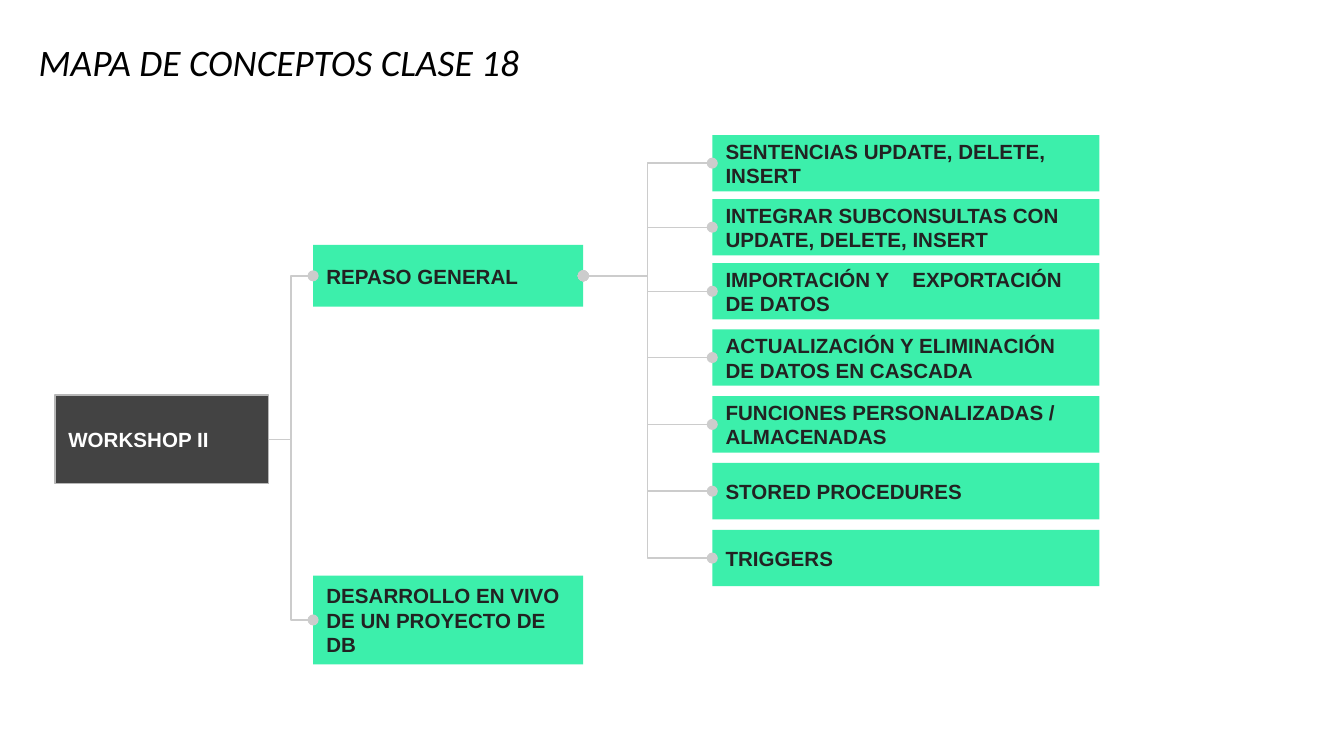
from typing import NamedTuple

from lxml.etree import SubElement
from pptx import Presentation
from pptx.dml.color import RGBColor
from pptx.enum.shapes import MSO_CONNECTOR, MSO_SHAPE
from pptx.enum.text import MSO_ANCHOR, PP_ALIGN
from pptx.oxml.ns import qn
from pptx.util import Inches, Pt

COLORS = {
    "title": "000000",
    "root": "434343",
    "root_edge": "B7B7B7",
    "root_text": "FFFFFF",
    "concept": "3CEFAB",
    "concept_text": "222222",
    "link": "CCCCCC",
}
WIDTH = Inches(10)
HEIGHT = WIDTH * 9 // 16
COLUMN = WIDTH / 100
ROW = HEIGHT / 100
LEFT_SITE, RIGHT_SITE = 1, 3
TOPIC_HEIGHT = 7.47
TAB_STOP = Inches(1.39)

BRANCHES = [
    ("REPASO GENERAL", 0, 8.18),
    ("DESARROLLO EN VIVO DE UN PROYECTO DE DB", 43.75, 11.73),
]
TOPIC_GROUPS = [
    (0, 8.47, [
        "SENTENCIAS UPDATE, DELETE, INSERT",
        "INTEGRAR SUBCONSULTAS CON UPDATE, DELETE, INSERT",
        "IMPORTACIÓN Y\tEXPORTACIÓN DE DATOS",
    ]),
    (25.7, 8.84, [
        "ACTUALIZACIÓN Y ELIMINACIÓN DE DATOS EN CASCADA",
        "FUNCIONES PERSONALIZADAS / ALMACENADAS",
        "STORED PROCEDURES",
        "TRIGGERS",
    ]),
]


class Box(NamedTuple):
    column: float
    row: float
    columns: float
    rows: float

    def lengths(self):
        return (round(self.column * COLUMN), round(self.row * ROW),
                round(self.columns * COLUMN), round(self.rows * ROW))

    def band(self, offset, rows):
        return Box(self.column, self.row + offset, self.columns, rows)


def color(name):
    return RGBColor.from_string(COLORS[name])


def set_font(paragraph, family, size, color_name, bold=False, italic=False):
    for run in paragraph.runs:
        font = run.font
        font.name, font.size = family, Pt(size)
        font.bold, font.italic = bold, italic
        font.color.rgb = color(color_name)


def add_tab_stop(paragraph):
    stops = SubElement(paragraph._p.get_or_add_pPr(), qn("a:tabLst"))
    SubElement(stops, qn("a:tab"), pos=str(TAB_STOP), algn="l")


def add_node(slide, box, label, fill="concept", text="concept_text", edge=None):
    node = slide.shapes.add_shape(MSO_SHAPE.RECTANGLE, *box.lengths())
    node.shadow.inherit = False
    node.fill.solid()
    node.fill.fore_color.rgb = color(fill)
    if edge:
        node.line.color.rgb = color(edge)
        node.line.width = Pt(0.75)
    else:
        node.line.fill.background()
    frame = node.text_frame
    frame.word_wrap = True
    frame.vertical_anchor = MSO_ANCHOR.MIDDLE
    frame.margin_left = frame.margin_right = Inches(0.1)
    frame.margin_top = frame.margin_bottom = Inches(0.1)
    frame.text = label
    paragraph = frame.paragraphs[0]
    paragraph.alignment = PP_ALIGN.LEFT
    if "\t" in label:
        add_tab_stop(paragraph)
    set_font(paragraph, "Arial", 11, text, bold=True)
    return node


def add_link(slide, parent, child, ends):
    link = slide.shapes.add_connector(
        MSO_CONNECTOR.ELBOW,
        parent.left + parent.width, parent.top + parent.height // 2,
        child.left, child.top + child.height // 2)
    link.begin_connect(parent, RIGHT_SITE)
    link.end_connect(child, LEFT_SITE)
    link.line.color.rgb = color("link")
    link.line.width = Pt(0.75)
    line = link.line._get_or_add_ln()
    for end in ends:
        SubElement(line, qn(f"a:{end}"), type="oval")
    SubElement(link._element.spPr, qn("a:effectLst"))


def add_title(slide, box):
    title = slide.shapes.add_textbox(*box.lengths())
    frame = title.text_frame
    frame.word_wrap = True
    frame.vertical_anchor = MSO_ANCHOR.BOTTOM
    frame.text = "MAPA DE CONCEPTOS CLASE 18"
    heading = frame.paragraphs[0]
    heading.line_spacing = 0.9
    set_font(heading, "Calibri", 20, "title", italic=True)


def add_root(slide, box):
    return add_node(slide, box, "WORKSHOP II", "root", "root_text", "root_edge")


def add_branches(slide, box, root):
    branches = [add_node(slide, box.band(offset, rows), label)
                for label, offset, rows in BRANCHES]
    for branch in branches:
        add_link(slide, root, branch, ["tailEnd"])
    return branches


def add_topics(slide, box, branch):
    for start, pitch, labels in TOPIC_GROUPS:
        for index, label in enumerate(labels):
            topic = add_node(
                slide, box.band(start + index * pitch, TOPIC_HEIGHT), label)
            add_link(slide, branch, topic, ["headEnd", "tailEnd"])


def main():
    deck = Presentation()
    deck.slide_width, deck.slide_height = WIDTH, HEIGHT
    slide = deck.slides.add_slide(deck.slide_layouts[6])
    add_title(slide, Box(1.9, 3.91, 82.6, 8.18))
    root = add_root(slide, Box(4.1, 52.27, 15.9, 11.73))
    review, _ = add_branches(slide, Box(23.3, 32.4, 20.1, 55.48), root)
    add_topics(slide, Box(53, 17.86, 28.8, 59.69), review)
    deck.save("out.pptx")


if __name__ == "__main__":
    main()
